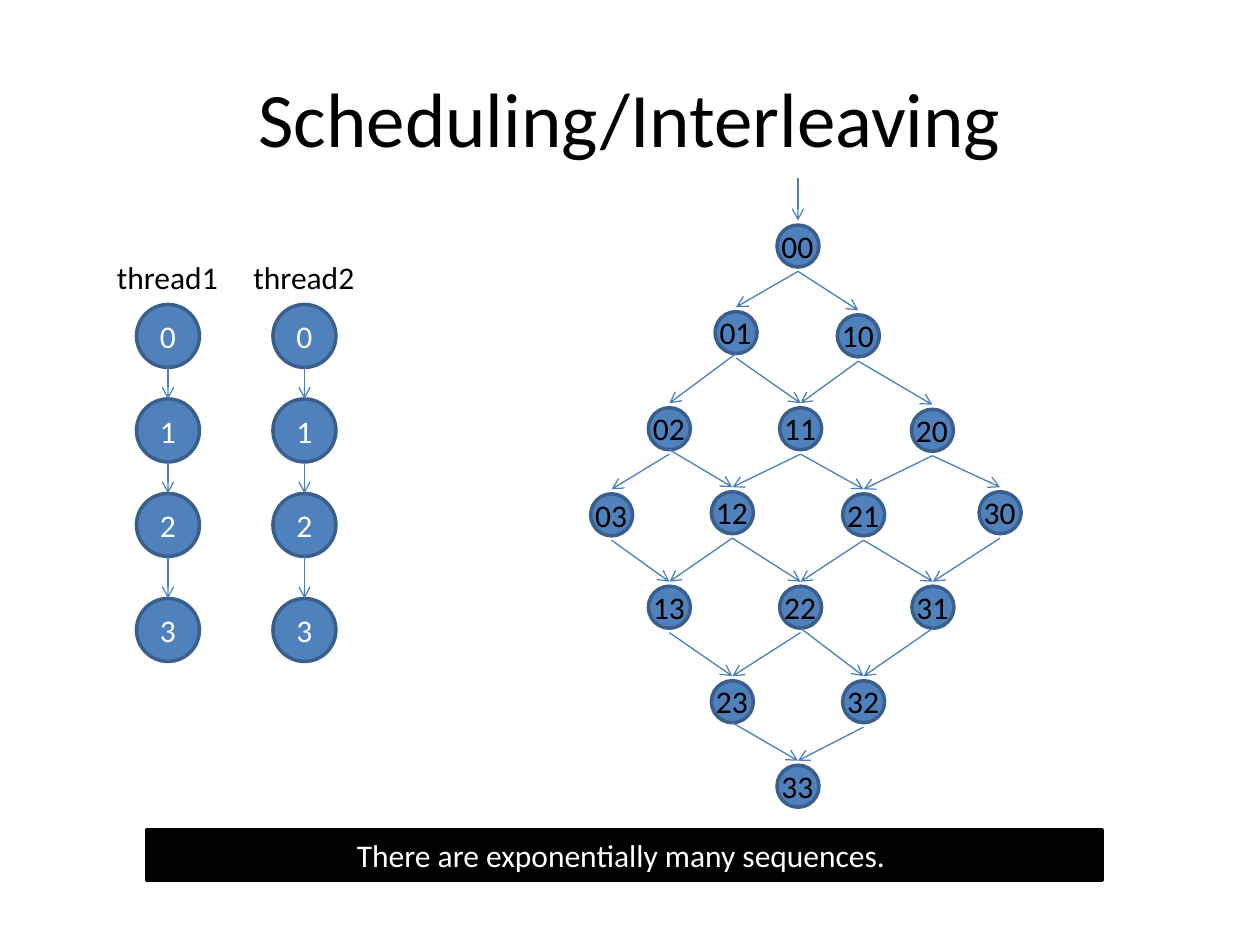
from lxml import etree
from pptx import Presentation
from pptx.dml.color import RGBColor
from pptx.enum.shapes import MSO_CONNECTOR, MSO_SHAPE
from pptx.enum.text import MSO_ANCHOR, MSO_AUTO_SIZE, PP_ALIGN
from pptx.oxml.ns import qn
from pptx.util import Inches, Pt

ELLIPSE, RECTANGLE = MSO_SHAPE.OVAL, MSO_SHAPE.RECTANGLE
STRAIGHT = MSO_CONNECTOR.STRAIGHT
LEFT, CENTER = PP_ALIGN.LEFT, PP_ALIGN.CENTER
MIDDLE, TOP = MSO_ANCHOR.MIDDLE, MSO_ANCHOR.TOP
GROW = MSO_AUTO_SIZE.SHAPE_TO_FIT_TEXT

COLORS = {"node": "4F81BD", "outline": "3A5F8C", "arrow": "4B7EBC",
          "black": "000000", "white": "FFFFFF"}
COLUMNS, ROWS = 120, 90
LABEL_HEIGHT = 4.85


class Diagram:
    font = "Calibri"
    body_size = 18

    def __init__(self, deck):
        self.slide = deck.slides.add_slide(deck.slide_layouts[5])
        self.column = deck.slide_width / COLUMNS
        self.row = deck.slide_height / ROWS
        self.shapes = self.slide.shapes

    def box(self, left, top, width, height):
        return (round(left * self.column), round(top * self.row),
                round(width * self.column), round(height * self.row))

    def color(self, key):
        return RGBColor.from_string(COLORS[key])

    def set_text(self, frame, words, color, size=body_size, align=CENTER, anchor=MIDDLE):
        frame.text = words
        frame.vertical_anchor = anchor
        paragraph = frame.paragraphs[0]
        paragraph.alignment = align
        font = paragraph.runs[0].font
        font.name, font.size = self.font, Pt(size)
        font.color.rgb = self.color(color)

    def title(self, words, *place):
        heading = self.slide.shapes.title
        heading.left, heading.top, heading.width, heading.height = self.box(*place)
        self.set_text(heading.text_frame, words, "black", size=44)

    def start_group(self):
        self.shapes = self.slide.shapes.add_group_shape().shapes

    def end_group(self):
        self.shapes = self.slide.shapes

    def shape(self, kind, place, fill, outline, words=None):
        figure = self.shapes.add_shape(kind, *self.box(*place))
        figure.shadow.inherit = False
        figure.fill.solid()
        figure.fill.fore_color.rgb = self.color(fill)
        figure.line.color.rgb = self.color(outline)
        figure.line.width = Pt(2)
        if words:
            self.set_text(figure.text_frame, words, "white")

    def circle(self, center, top, diameter, words=None):
        place = (center - diameter / 2, top, diameter, diameter)
        self.shape(ELLIPSE, place, "node", "outline", words)

    def label(self, words, center, top, width):
        place = self.box(center - width / 2, top, width, LABEL_HEIGHT)
        frame = self.shapes.add_textbox(*place).text_frame
        frame.word_wrap = False
        frame.auto_size = GROW
        self.set_text(frame, words, "black", align=LEFT, anchor=TOP)

    def arrow(self, x1, y1, x2, y2):
        link = self.shapes.add_connector(STRAIGHT, *self.box(x1, y1, x2, y2))
        link.line.color.rgb = self.color("arrow")
        link.line.width = Pt(0.75)
        properties = link.element.spPr
        etree.SubElement(properties.find(qn("a:ln")), qn("a:tailEnd"), type="arrow")
        etree.SubElement(properties, qn("a:effectLst"))


deck = Presentation()
deck.slide_width, deck.slide_height = Inches(10), Inches(7.5)
diagram = Diagram(deck)
diagram.title("Scheduling/Interleaving", 6, 3.6, 108, 15)

STEP_TOPS = (29, 38, 47, 57)
STEP_SIZE = 6
for thread, center in (("thread1", 16), ("thread2", 29)):
    diagram.start_group()
    for step, top in enumerate(STEP_TOPS):
        diagram.circle(center, top, STEP_SIZE, str(step))
    for top, next_top in zip(STEP_TOPS, STEP_TOPS[1:]):
        diagram.arrow(center, top + STEP_SIZE, center, next_top)
    diagram.label(thread, center, 24, 12.1)
    diagram.end_group()

STATE_SIZE, STATE_INSET = 4, 0.43
LAST_STEP = 3
states = {
    "00": (76, 21),
    "01": (70.1, 29.25), "10": (81.75, 29.55),
    "02": (63.75, 38.4), "11": (76.25, 38.4), "20": (88.8, 38.55),
    "03": (58.25, 46.6), "12": (69.75, 46.4), "21": (82.25, 46.6), "30": (95.25, 46.4),
    "13": (63.75, 55.4), "22": (76.25, 55.4), "31": (88.85, 55.4),
    "23": (69.75, 64.4), "32": (82.25, 64.4),
    "33": (76, 72.45),
}
starts_at_circle = {("01", "02"), ("02", "12"), ("22", "32"), ("31", "32"), ("23", "33")}

for state, (center, top) in states.items():
    diagram.start_group()
    diagram.circle(center, top + STATE_INSET, STATE_SIZE)
    diagram.label(state, center, top, 5.5)
    diagram.end_group()

first_x, first_top = states["00"]
diagram.arrow(first_x, first_top - 4, first_x, first_top)
for state, (center, top) in states.items():
    first, second = int(state[0]), int(state[1])
    for following in ((first, second + 1), (first + 1, second)):
        if max(following) > LAST_STEP:
            continue
        successor = f"{following[0]}{following[1]}"
        at_circle = (state, successor) in starts_at_circle
        drop = STATE_INSET + STATE_SIZE if at_circle else LABEL_HEIGHT
        diagram.arrow(center, top + drop, *states[successor])

diagram.shape(RECTANGLE, (14, 79, 91, LABEL_HEIGHT), "black", "black",
              "There are exponentially many sequences. ")

deck.save("out.pptx")
